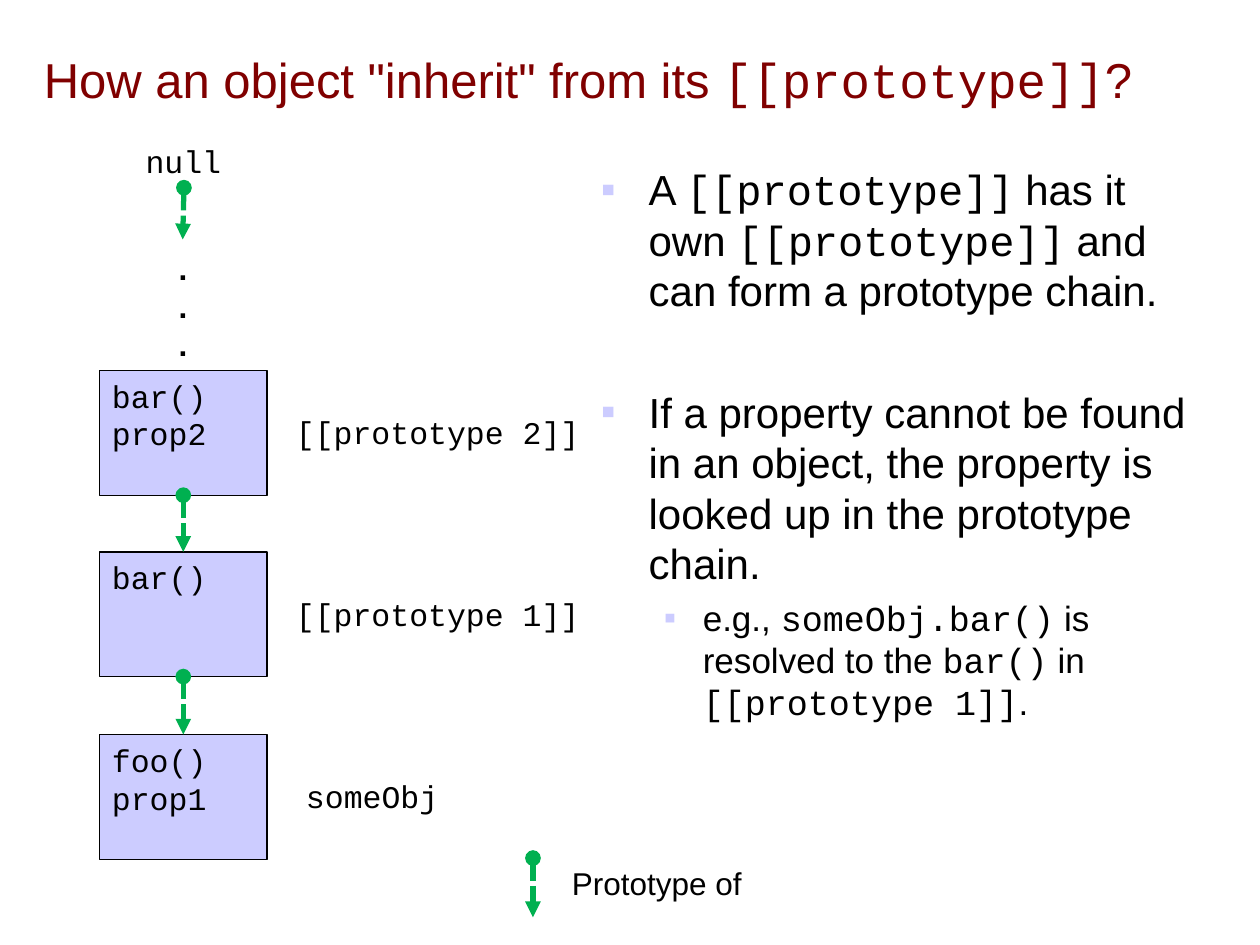
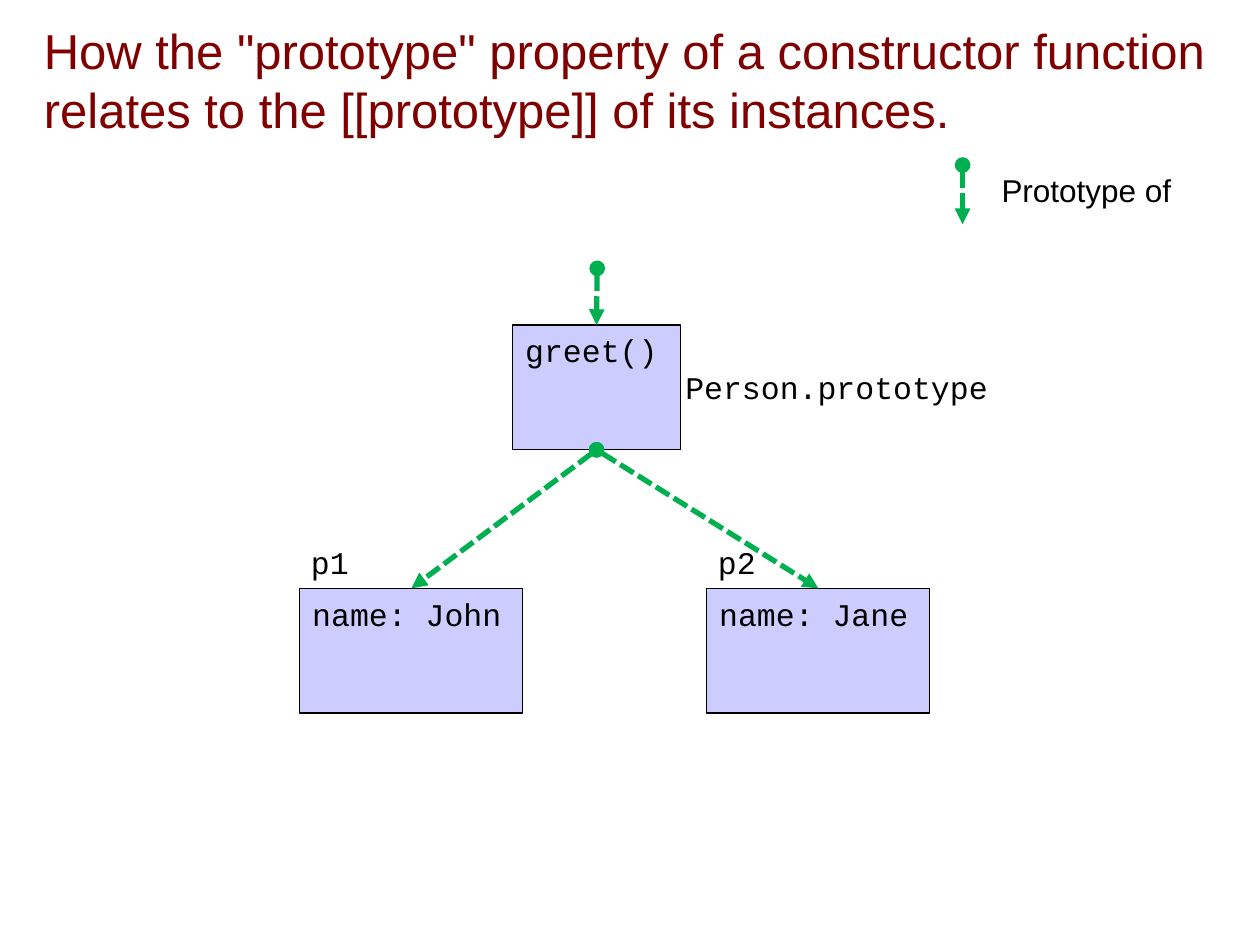
from lxml import etree
from pptx import Presentation
from pptx.dml.color import RGBColor
from pptx.enum import dml, shapes, text
from pptx.oxml.ns import qn
from pptx.util import Inches, Pt

MAROON = RGBColor(0x80, 0x00, 0x00)
LILAC = RGBColor(0xCC, 0xCC, 0xFF)
GREEN = RGBColor(0x00, 0xB0, 0x50)
BLACK = RGBColor(0x00, 0x00, 0x00)
SANS, MONO = "Arial", "Courier New"
TOP, BOTTOM = 0, 2  # connection sites of a rectangle
BOX_WIDTH, BOX_HEIGHT, WIDE_BOX = 1.33, 0.99, 1.77
LABEL_HEIGHT = 0.4

# Content: a paragraph is a list of spans, and a one-item tuple is code
CHAIN_TITLE = ['How an object "inherit" from its ', ("[[prototype]]",), "?"]
INSTANCE_TITLE = ['How the "prototype" property of a constructor function '
                  "relates to the [[prototype]] of its instances."]
POINTS = [  # level, space before, spans
    (0, 6, ["A ", ("[[prototype]]",), " has it own ", ("[[prototype]]",),
            " and can form a prototype chain."]),
    (0, 40.8, ["If a property cannot be found in an object, the property "
               "is looked up in the prototype chain."]),
    (1, 5, ["e.g., ", ("someObj.bar()",), " is resolved to the ", ("bar()",),
            " in ", ("[[prototype 1]]",), "."]),
]
LEVELS = [(24, 0.38, 0.38), (20, 0.81, 0.31)]  # size, margin, hanging indent
CHAIN = [  # box top, members, label, label left, label width
    (2.94, ["bar()", "prop2"], "[[prototype 2]]", 2.25, 2.46),
    (4.38, ["bar()"], "[[prototype 1]]", 2.25, 2.46),
    (5.83, ["foo()", "prop1"], "someObj", 2.33, 1.25),
]
INSTANCES = [("p1", "name: John", 2.38), ("p2", "name: Jane", 5.61)]


def write(shape, paragraphs, size=18, font=SANS, color=BLACK, bold=False,
          align=text.PP_ALIGN.LEFT, anchor=text.MSO_ANCHOR.TOP, wrap=True):
    """Fill a shape with paragraphs, each a list of spans."""
    frame = shape.text_frame
    frame.word_wrap = wrap
    frame.vertical_anchor = anchor
    for index, spans in enumerate(paragraphs):
        para = frame.add_paragraph() if index else frame.paragraphs[0]
        para.alignment = align
        for item in spans:
            is_code = isinstance(item, tuple)
            span = para.add_run()
            span.text = item[0] if is_code else item
            span.font.name = MONO if is_code else font
            span.font.size = Pt(size)
            span.font.bold = bold
            span.font.color.rgb = color
    return frame


def add_text(page, left, top, width, height, paragraphs, **style):
    area = page.shapes.add_textbox(*map(Inches, (left, top, width, height)))
    return write(area, paragraphs, **style)


def add_label(page, left, top, width, words, **style):
    add_text(page, left, top, width, LABEL_HEIGHT, [[words]],
             **{"font": MONO, "wrap": False, **style})


def add_box(page, left, top, width, members):
    box = page.shapes.add_shape(
        shapes.MSO_SHAPE.RECTANGLE,
        *map(Inches, (left, top, width, BOX_HEIGHT)))
    box.shadow.inherit = False
    box.fill.solid()
    box.fill.fore_color.rgb = LILAC
    box.line.color.rgb = BLACK
    box.line.width = Pt(0.75)
    write(box, [[member] for member in members], font=MONO)
    return box


def add_arrow(page, start=(0, 0), end=(0, 0), parent=None, child=None):
    """Dashed arrow between points, or from a parent box to a child box."""
    arrow = page.shapes.add_connector(
        shapes.MSO_CONNECTOR.STRAIGHT, *map(Inches, (*start, *end)))
    if parent is not None:
        arrow.begin_connect(parent, BOTTOM)
    if child is not None:
        arrow.end_connect(child, TOP)
    arrow.line.color.rgb = GREEN
    arrow.line.width = Pt(3)
    arrow.line.dash_style = dml.MSO_LINE.SQUARE_DOT
    props = arrow.line._get_or_add_ln()
    etree.SubElement(props, qn("a:headEnd"), type="oval")
    etree.SubElement(props, qn("a:tailEnd"), type="triangle")
    etree.SubElement(arrow._element.spPr, qn("a:effectLst"))


def add_bullets(page):
    frame = add_text(page, 4.67, 1.25, 5, 4.88,
                     [spans for _, _, spans in POINTS])
    for para, (level, before, _) in zip(frame.paragraphs, POINTS):
        size, margin, hanging = LEVELS[level]
        para.level = level
        para.space_before = Pt(before)
        for span in para.runs:
            span.font.size = Pt(size)
        props = para._p.get_or_add_pPr()
        props.set("marL", str(Inches(margin)))
        props.set("indent", str(-Inches(hanging)))
        color = etree.SubElement(props, qn("a:buClr"))
        etree.SubElement(color, qn("a:srgbClr"), val=str(LILAC))
        etree.SubElement(props, qn("a:buFont"), typeface=SANS)
        etree.SubElement(props, qn("a:buChar"), char="▪")


def add_page(deck, title, legend_left, legend_top):
    """Blank page with the shared title style and arrow legend."""
    page = deck.slides.add_slide(deck.slide_layouts[6])
    add_text(page, 0.25, 0.18, 9.58, 0.9, [title], size=28, color=MAROON,
             anchor=text.MSO_ANCHOR.MIDDLE)
    add_arrow(page, (legend_left, legend_top),
              (legend_left, legend_top + 0.47))
    add_label(page, legend_left + 0.21, legend_top, 1.55, "Prototype of",
              font=SANS)
    return page


def build_chain(deck):
    page = add_page(deck, CHAIN_TITLE, 4.23, 6.81)
    add_bullets(page)
    # Top of the chain
    add_label(page, 1, 1.08, 0.91, "null", align=text.PP_ALIGN.CENTER,
              wrap=True)
    add_arrow(page, (1.46, 1.49), (1.45, 1.9))
    add_text(page, 1.32, 1.93, 0.25, 1, [["."]] * 3, bold=True,
             align=text.PP_ALIGN.CENTER)
    # Linked objects
    parent = None
    for top, members, label, label_left, label_width in CHAIN:
        box = add_box(page, 0.79, top, BOX_WIDTH, members)
        add_label(page, label_left, top + 0.29, label_width, label)
        if parent is not None:
            add_arrow(page, parent=parent, child=box)
        parent = box


def build_instances(deck):
    page = add_page(deck, INSTANCE_TITLE, 7.64, 1.31)
    # Shared prototype
    prototype = add_box(page, 4.07, 2.58, BOX_WIDTH, ["greet()"])
    add_label(page, 5.34, 2.87, 2.61, "Person.prototype")
    add_arrow(page, start=(4.74, 2.13), child=prototype)
    # Instances
    for name, member, left in INSTANCES:
        box = add_box(page, left, 4.67, WIDE_BOX, [member])
        add_label(page, left - 0.01, 4.26, 0.5, name)
        add_arrow(page, parent=prototype, child=box)


def main():
    deck = Presentation()
    deck.slide_width, deck.slide_height = Inches(10), Inches(7.5)
    build_chain(deck)
    build_instances(deck)
    deck.save("out.pptx")


if __name__ == "__main__":
    main()
